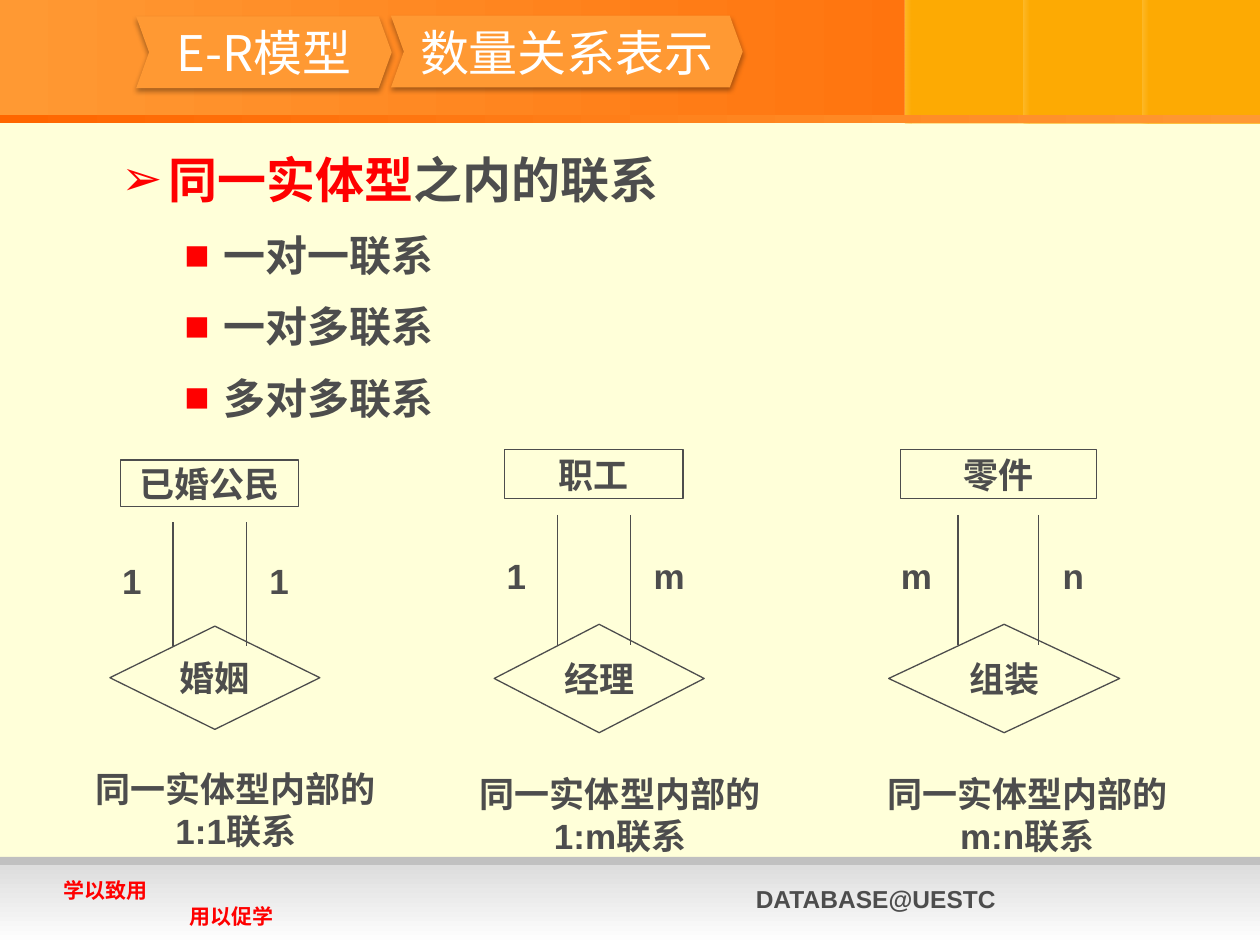
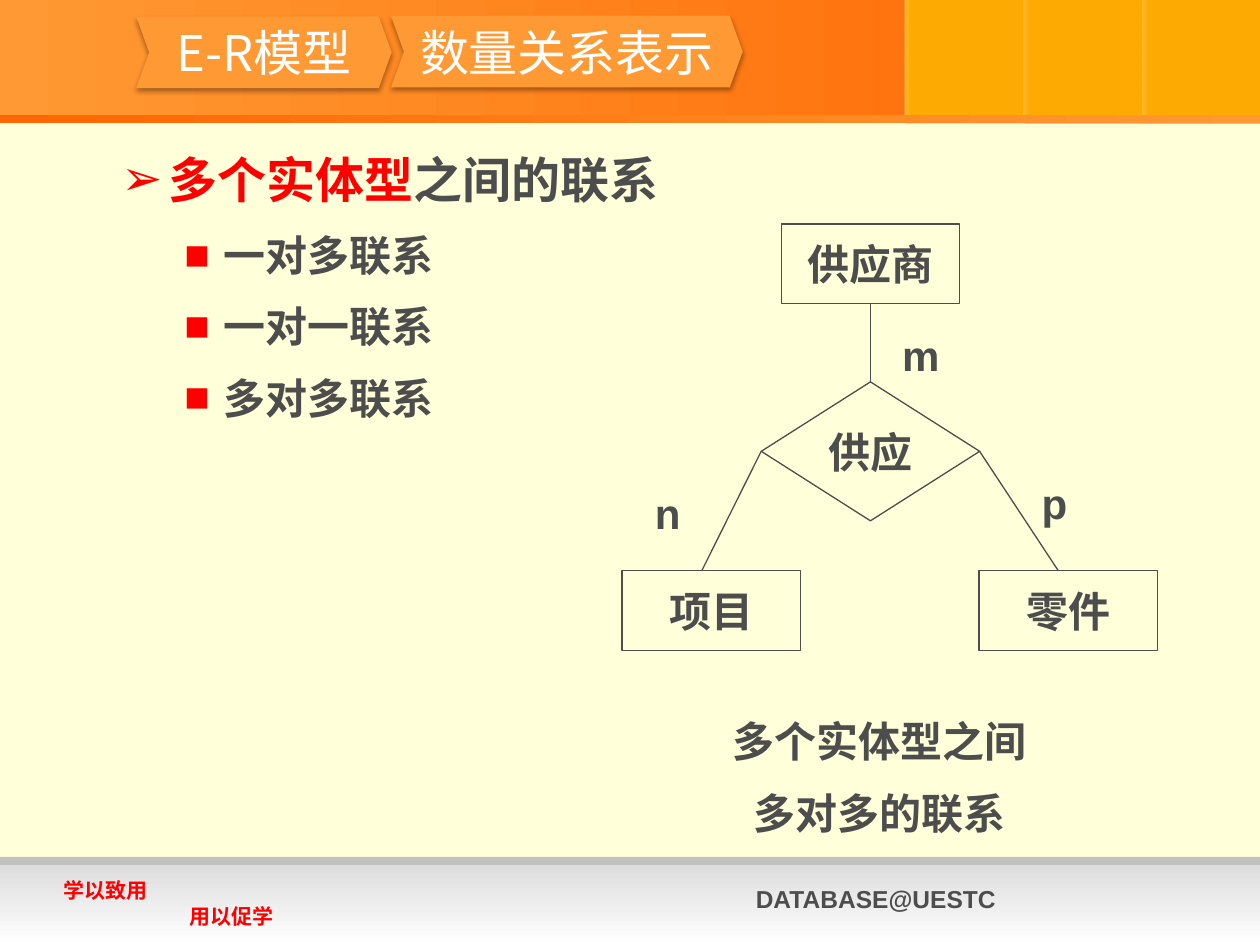
"""Build two slides on quantity relationships in the E-R model."""
import pptx
import pptx.dml.color
import pptx.enum.shapes
import pptx.enum.text
import pptx.oxml
import pptx.oxml.ns
import pptx.util

Pt = pptx.util.Pt
SHAPE = pptx.enum.shapes.MSO_SHAPE
ALIGN = pptx.enum.text.PP_ALIGN
ANCHOR = pptx.enum.text.MSO_ANCHOR
qn = pptx.oxml.ns.qn

COLORS = {
    "paper": "FFFFD9", "ink": "4D4D4D", "red": "FF0000", "white": "FFFFFF",
    "orange": "FF9933", "deep": "FF6600", "amber": "FDAA03",
    "rule": "C0C0C0", "mist": "DDDDDD", "black": "000000",
}
LATIN, HAN = "Arial", "Noto Sans CJK SC"
WIDTH, HEIGHT = 720, 540
BAND = 70.5

TOPIC, TITLE = "E-R模型", "数量关系表示"
TOPIC_PLACE, TITLE_PLACE = (77.8, 9.4, 146, 41), (223.4, 9, 201, 41)
COURSE = "DATABASE@UESTC"
MOTTO = ["学以致用", "用以促学"]

WITHIN = {
    "heading": [("同一实体型", "red"), ("之内的联系", "ink")],
    "items": ["一对一联系", "一对多联系", "多对多联系"],
}
BETWEEN = {
    "heading": [("多个实体型", "red"), ("之间的联系", "ink")],
    "items": ["一对多联系", "一对一联系", "多对多联系"],
}

LOOPS = [
    {"entity": "职工", "relation": "经理", "roles": "1m",
     "corner": (282.4, 257), "scale": (1, 1.05)},
    {"entity": "已婚公民", "relation": "婚姻", "roles": "11",
     "corner": (62.8, 262.8), "scale": (1, 1)},
    {"entity": "零件", "relation": "组装", "roles": "mn",
     "corner": (507.8, 257), "scale": (1.1, 1.05)},
]

ENTITIES = {"供应商": (446.4, 128), "项目": (355.4, 326.2), "零件": (559.5, 326.2)}
ENTITY_SIZE = (102, 45.4)
SUPPLY, SUPPLY_PLACE = "供应", (435, 218.2, 124.8, 79.4)
ROLES = {"m": (508.5, 184.5), "p": (588.2, 269.5), "n": (367.2, 275)}
SUMMARY = ["多个实体型之间", "多对多的联系"]


def rgb(name):
    return pptx.dml.color.RGBColor.from_string(COLORS[name])


def lengths(values):
    return [Pt(value) for value in values]


def draw(page, kind, place, fill=None, line=None):
    """Add a preset shape without shadow; a pair of fills makes a gradient."""
    shape = page.shapes.add_shape(kind, *lengths(place))
    shape.shadow.inherit = False
    if isinstance(fill, tuple):
        shape.fill.gradient()
        shape.fill.gradient_angle = 0
        for stop, name in zip(shape.fill.gradient_stops, fill):
            stop.color.rgb = rgb(name)
    elif fill:
        shape.fill.solid()
        shape.fill.fore_color.rgb = rgb(fill)
    else:
        shape.fill.background()
    if line:
        shape.line.color.rgb = rgb(line)
        shape.line.width = Pt(0.75)
    else:
        shape.line.fill.background()
    return shape


def write(shape, lines, size=20, color="ink", font=LATIN, bold=True,
          align=ALIGN.LEFT, anchor=ANCHOR.TOP, wrap=True, leading=None,
          before=0, padding=3.6, more=False):
    """Write lines, each a string or a list of coloured spans, and return them."""
    frame = shape.text_frame
    if not more:
        frame.word_wrap = wrap
        frame.vertical_anchor = anchor
        frame.margin_left = frame.margin_right = Pt(7.2)
        frame.margin_top = frame.margin_bottom = Pt(padding)
    paras = []
    for number, line in enumerate(lines):
        first = number == 0 and not more
        para = frame.paragraphs[0] if first else frame.add_paragraph()
        para.alignment = align
        para.space_before = Pt(0 if first else before)
        if leading:
            para.line_spacing = Pt(size * leading)
        for text, name in [(line, color)] if isinstance(line, str) else line:
            span = para.add_run()
            span.text = text
            span.font.size, span.font.bold = Pt(size), bold
            span.font.name = font
            span.font.color.rgb = rgb(name)
            east = pptx.oxml.parse_xml(
                f'<a:ea {pptx.oxml.ns.nsdecls("a")} typeface="{HAN}"/>')
            span.font._element.find(qn("a:latin")).addnext(east)
        paras.append(para)
    return paras


def add_text(page, place, lines, **style):
    box = page.shapes.add_textbox(*lengths(place))
    write(box, lines, **style)
    return box


def indent(para, left, hanging=0, bullet=None):
    properties = para._p.get_or_add_pPr()
    properties.set("marL", str(Pt(left)))
    properties.set("indent", str(Pt(-hanging)))
    if bullet:
        space = pptx.oxml.ns.nsdecls("a")
        for xml in (f'<a:buClr {space}><a:srgbClr val="{COLORS["red"]}"/></a:buClr>',
                    f'<a:buFont {space} typeface="{LATIN}"/>',
                    f'<a:buChar {space} char="{bullet}"/>'):
            properties.append(pptx.oxml.parse_xml(xml))


def connect(page, start, end):
    line = page.shapes.add_connector(
        pptx.enum.shapes.MSO_CONNECTOR.STRAIGHT, *lengths(start + end))
    line.line.color.rgb = rgb("ink")
    line.line.width = Pt(0.75)
    line.element.spPr.append(
        pptx.oxml.parse_xml(f'<a:effectLst {pptx.oxml.ns.nsdecls("a")}/>'))
    return line


def share_frame(page):
    """Draw the bands and footer, then move them to the layout."""
    layout = page.slide_layout
    for holder in list(layout.placeholders)[1:]:
        holder.element.getparent().remove(holder.element)
    shapes = [draw(page, SHAPE.RECTANGLE, (0, 0, WIDTH, BAND), ("orange", "deep"))]
    for left in (517, 584.8, 652.6):
        shapes.append(draw(page, SHAPE.RECTANGLE, (left, 0, WIDTH - left, BAND), "amber"))
        glint = draw(page, SHAPE.RECTANGLE, (left, 0, 3.6, BAND), ("paper", "amber"))
        for color, alpha in zip(glint.element.iter(qn("a:srgbClr")), (18000, 15000)):
            color.append(pptx.oxml.parse_xml(
                f'<a:alpha {pptx.oxml.ns.nsdecls("a")} val="{alpha}"/>'))
        shapes.append(glint)
    shapes.append(draw(page, SHAPE.RECTANGLE, (0, BAND - 4.8, WIDTH, 4.8),
                       ("deep", "orange")))
    shapes.append(draw(page, SHAPE.RECTANGLE, (0, 489.6, WIDTH, 21), "rule"))
    floor = draw(page, SHAPE.RECTANGLE, (0, 494.3, WIDTH, HEIGHT - 494.3),
                 ("mist", "white"))
    floor.fill.gradient_angle = 270
    motto = add_text(page, (29.2, 498.2, 144, 36), MOTTO, size=12, color="red",
                     leading=1.2)
    indent(motto.text_frame.paragraphs[1], 72)
    course = add_text(page, (424.8, 501.8, 248, 24.5), [COURSE], size=14)
    for shape in shapes + [floor, motto, course]:
        layout.shapes.element.append(shape.element)


def add_header(page):
    style = dict(size=28, color="white", font=HAN, bold=False,
                 align=ALIGN.CENTER, anchor=ANCHOR.MIDDLE, wrap=False)
    title = page.shapes.title
    chevrons = []
    for place in (TOPIC_PLACE, TITLE_PLACE):
        chevron = draw(page, SHAPE.CHEVRON, place, "orange")
        chevron.adjustments[0] = 0.18
        chevron.element.spPr.find(qn("a:effectLst")).append(pptx.oxml.parse_xml(
            f'<a:outerShdw {pptx.oxml.ns.nsdecls("a")} blurRad="{Pt(3.1)}" '
            f'dist="{Pt(1.8)}" dir="5400000" rotWithShape="0">'
            f'<a:srgbClr val="{COLORS["black"]}"><a:alpha val="35000"/></a:srgbClr>'
            '</a:outerShdw>'))
        chevrons.append(chevron)
    write(chevrons[0], [TOPIC], **style)
    title.left, title.top, title.width, title.height = lengths(TITLE_PLACE)
    write(title, [TITLE], **style)
    page.shapes.element.append(title.element)


def add_outline(page, outline):
    box = page.shapes.add_textbox(*lengths((62.3, 82, 330, 170)))
    heading = write(box, [outline["heading"]], size=28, font=HAN, leading=1.2)
    indent(heading[0], 27, 27, "➢")
    for para in write(box, outline["items"], size=24, font=HAN, leading=1.2,
                      before=12, more=True):
        indent(para, 58.3, 22.3, "■")


def add_loop(page, loop):
    """Draw one entity tied twice to its own relationship."""
    (left, top), (across, down) = loop["corner"], loop["scale"]

    def spot(x, y):
        return left + x * across, top + y * down

    def place(x, y, width, height):
        return spot(x, y) + (width * across, height * down)

    centred = dict(align=ALIGN.CENTER)
    entity = draw(page, SHAPE.RECTANGLE, place(6, 0, 102, 26.5), "paper", "ink")
    write(entity, [loop["entity"]], anchor=ANCHOR.MIDDLE, leading=1.2, padding=0,
          **centred)
    relation = draw(page, SHAPE.DIAMOND, place(0, 95, 120, 59), "paper", "ink")
    write(relation, [loop["relation"]], anchor=ANCHOR.MIDDLE, wrap=False, **centred)
    for role, line_x, role_x in zip(loop["roles"], (36, 78), (0, 84)):
        connect(page, spot(line_x, 35.5), spot(line_x, 106.5))
        add_text(page, place(role_x, 53.5, 30, 26.5), [role])
    caption = f"同一实体型内部的{':'.join(loop['roles'])}联系"
    add_text(page, place(-18, 172, 180, 47), [caption], leading=1.2, **centred)


def add_supply(page):
    """Draw the relationship that ties three entities together."""
    style = dict(size=24, align=ALIGN.CENTER)
    nodes = {}
    for name, corner in ENTITIES.items():
        nodes[name] = draw(page, SHAPE.RECTANGLE, corner + ENTITY_SIZE, line="ink")
    nodes[SUPPLY] = draw(page, SHAPE.FLOWCHART_DECISION, SUPPLY_PLACE, line="ink")
    for name, node in nodes.items():
        write(node, [name], anchor=ANCHOR.MIDDLE, wrap=False, **style)
    line = connect(page, (0, 0), (0, 0))
    line.begin_connect(nodes["供应商"], 2)
    line.end_connect(nodes[SUPPLY], 0)
    for side, foot in ((3, 604.8), (1, 401)):
        line = connect(page, (0, 0), (foot, ENTITIES["零件"][1]))
        line.begin_connect(nodes[SUPPLY], side)
    for role, corner in ROLES.items():
        add_text(page, corner + (45.4, 36), [role], size=24)
    add_text(page, (372.5, 405.4, 260.6, 80), SUMMARY, leading=1.2, before=12, **style)


def main():
    deck = pptx.Presentation()
    deck.slide_width, deck.slide_height = Pt(WIDTH), Pt(HEIGHT)
    background = deck.slide_master.background.fill
    background.solid()
    background.fore_color.rgb = rgb("paper")
    pages = [deck.slides.add_slide(deck.slide_layouts[5]) for _ in range(2)]
    share_frame(pages[0])
    for page, outline in zip(pages, (WITHIN, BETWEEN)):
        add_outline(page, outline)
        add_header(page)
    for loop in LOOPS:
        add_loop(pages[0], loop)
    add_supply(pages[1])
    deck.save("out.pptx")


if __name__ == "__main__":
    main()
